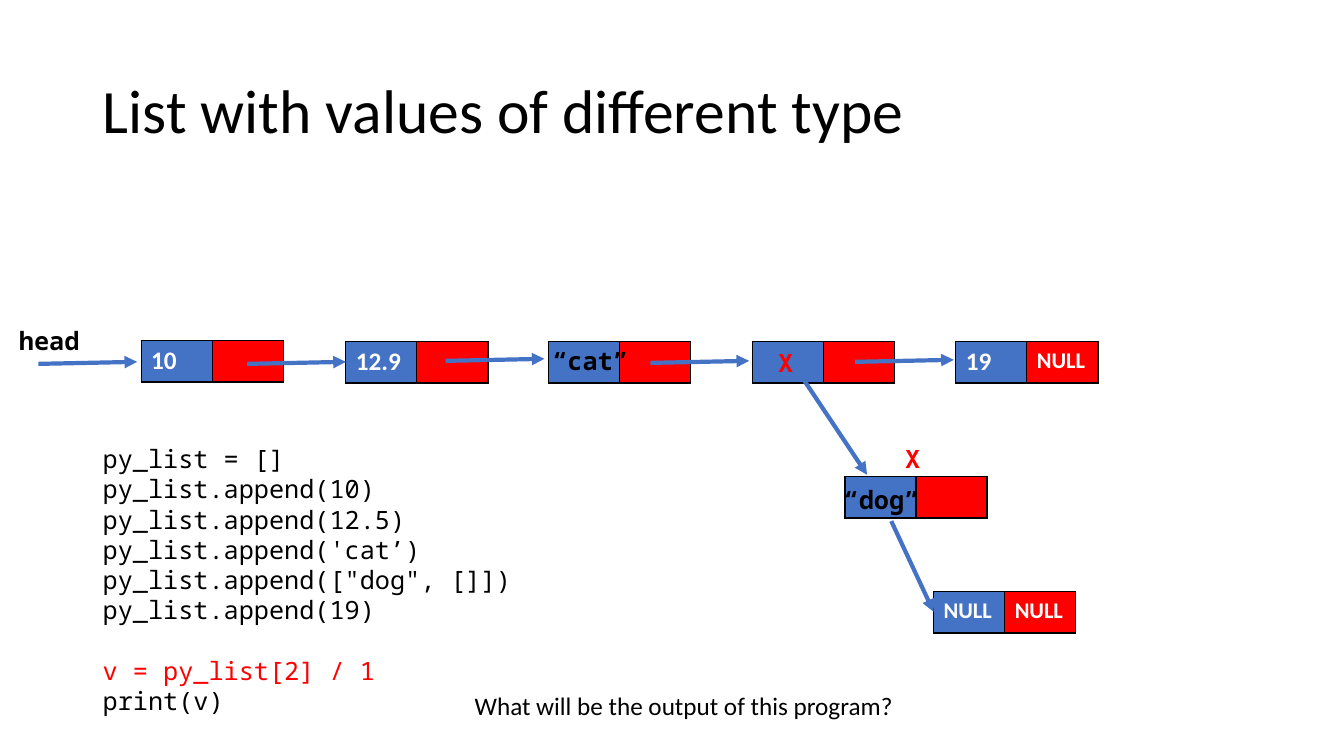
from typing import NamedTuple

from lxml.etree import SubElement as Sub
from pptx import Presentation
from pptx.dml.color import RGBColor
from pptx.enum.shapes import MSO_CONNECTOR as Conn
from pptx.enum.text import MSO_ANCHOR as Anchor
from pptx.oxml.ns import qn
from pptx.util import Inches, Pt

BLACK, WHITE, RED, BLUE = "000000", "FFFFFF", "FF0000", "4472C4"
SANS, MONO = "Calibri", "Noto Sans Mono"
WIDE, HIGH = 1.41, 0.41


class Node(NamedTuple):
    x: float
    y: float
    value: str = ""
    link: str = ""


class Arrow(NamedTuple):
    x: float
    y: float
    dx: float = 0.98
    dy: float = -0.02


class Label(NamedTuple):
    text: str
    x: float
    y: float
    w: float
    color: str = BLACK
    font: str = MONO
    bold: bool = True


NODES = [
    Node(1.4, 3.38, "10"),
    Node(3.43, 3.39, "12.9"),
    Node(5.44, 3.39),
    Node(7.46, 3.39),
    Node(9.48, 3.39, "19", "NULL"),
    Node(8.38, 4.73),
    Node(9.26, 5.87, "NULL", "NULL"),
]
ARROWS = [
    Arrow(0.38, 3.61),
    Arrow(2.45, 3.61),
    Arrow(4.42, 3.58),
    Arrow(6.45, 3.6),
    Arrow(8.48, 3.59),
    Arrow(7.86, 3.6, 0.74, 1.11),
    Arrow(8.84, 5.17, 0.42, 0.9),
]
LABELS = [
    Label("head", 0.09, 3.18, 1.47),
    Label("“cat”", 5.38, 3.38, 1.14),
    Label("“dog”", 8.27, 4.76, 1.14),
    Label("X", 8.88, 4.35, 0.74, RED),
    Label("X", 7.62, 3.4, 0.74, RED),
    Label("What will be the output of this program?", 4.61, 6.8, 4.76,
          font=SANS, bold=False),
]
CODE = [
    "py_list = []",
    "py_list.append(10)",
    "py_list.append(12.5)",
    "py_list.append('cat’)",
    'py_list.append(["dog", []])',
    "py_list.append(19)",
    "v = py_list[2] / 1",
    "print(v)",
]
QUERY = 6


def rgb(code: str) -> RGBColor:
    return RGBColor.from_string(code)


def write(para, text: str, *, size: float = 18, font: str = SANS,
          color: str = BLACK, bold: bool = False) -> None:
    run = para.add_run()
    run.text = text
    run.font.size = Pt(size)
    run.font.name = font
    run.font.bold = bold
    run.font.color.rgb = rgb(color)


def add_box(slide, x: float, y: float, w: float, h: float = 0.4):
    frame = slide.shapes.add_textbox(*map(Inches, (x, y, w, h))).text_frame
    frame.word_wrap = True
    return frame


def add_edges(cell) -> None:
    props = cell._tc.get_or_add_tcPr()
    for side in ("lnL", "lnR", "lnT", "lnB"):
        edge = Sub(props, qn(f"a:{side}"), w=str(Pt(1)))
        Sub(Sub(edge, qn("a:solidFill")), qn("a:srgbClr"), val=BLACK)


def add_node(slide, node: Node) -> None:
    table = slide.shapes.add_table(
        1, 2, *map(Inches, (node.x, node.y, WIDE, HIGH))).table
    table.first_row = table.horz_banding = False
    parts = ((node.value, BLUE), (node.link, RED))
    for col, (text, color) in enumerate(parts):
        cell = table.cell(0, col)
        add_edges(cell)
        cell.fill.solid()
        cell.fill.fore_color.rgb = rgb(color)
        if text:
            write(cell.text_frame.paragraphs[0], text, color=WHITE, bold=True,
                  size=16 if text == "NULL" else 18)


def add_arrow(slide, arrow: Arrow) -> None:
    ends = (arrow.x, arrow.y, arrow.x + arrow.dx, arrow.y + arrow.dy)
    line = slide.shapes.add_connector(Conn.STRAIGHT, *map(Inches, ends))
    line.line.color.rgb = rgb(BLUE)
    line.line.width = Pt(3)
    Sub(line.line._get_or_add_ln(), qn("a:tailEnd"), type="triangle")
    Sub(line._element.spPr, qn("a:effectLst"))


def add_label(slide, label: Label) -> None:
    frame = add_box(slide, label.x, label.y, label.w)
    write(frame.paragraphs[0], label.text, font=label.font,
          color=label.color, bold=label.bold)


def add_title(slide) -> None:
    frame = add_box(slide, 0.92, 0.4, 11.5, 1.45)
    frame.vertical_anchor = Anchor.MIDDLE
    para = frame.paragraphs[0]
    para.line_spacing = 0.9
    write(para, "List with values of different type", size=44)


def add_code(slide) -> None:
    frame = add_box(slide, 0.92, 4.35, 5.12, 2.83)
    for row, text in enumerate(CODE):
        para = frame.add_paragraph() if row else frame.paragraphs[0]
        if row == QUERY:
            para.space_before = Pt(21.6)
        write(para, text, font=MONO, color=RED if row == QUERY else BLACK)


def main() -> None:
    deck = Presentation()
    deck.slide_width, deck.slide_height = Inches(13.33), Inches(7.5)
    slide = deck.slides.add_slide(deck.slide_layouts[6])
    add_title(slide)
    for node in NODES:
        add_node(slide, node)
    for arrow in ARROWS:
        add_arrow(slide, arrow)
    for label in LABELS:
        add_label(slide, label)
    add_code(slide)
    deck.save("out.pptx")


if __name__ == "__main__":
    main()
